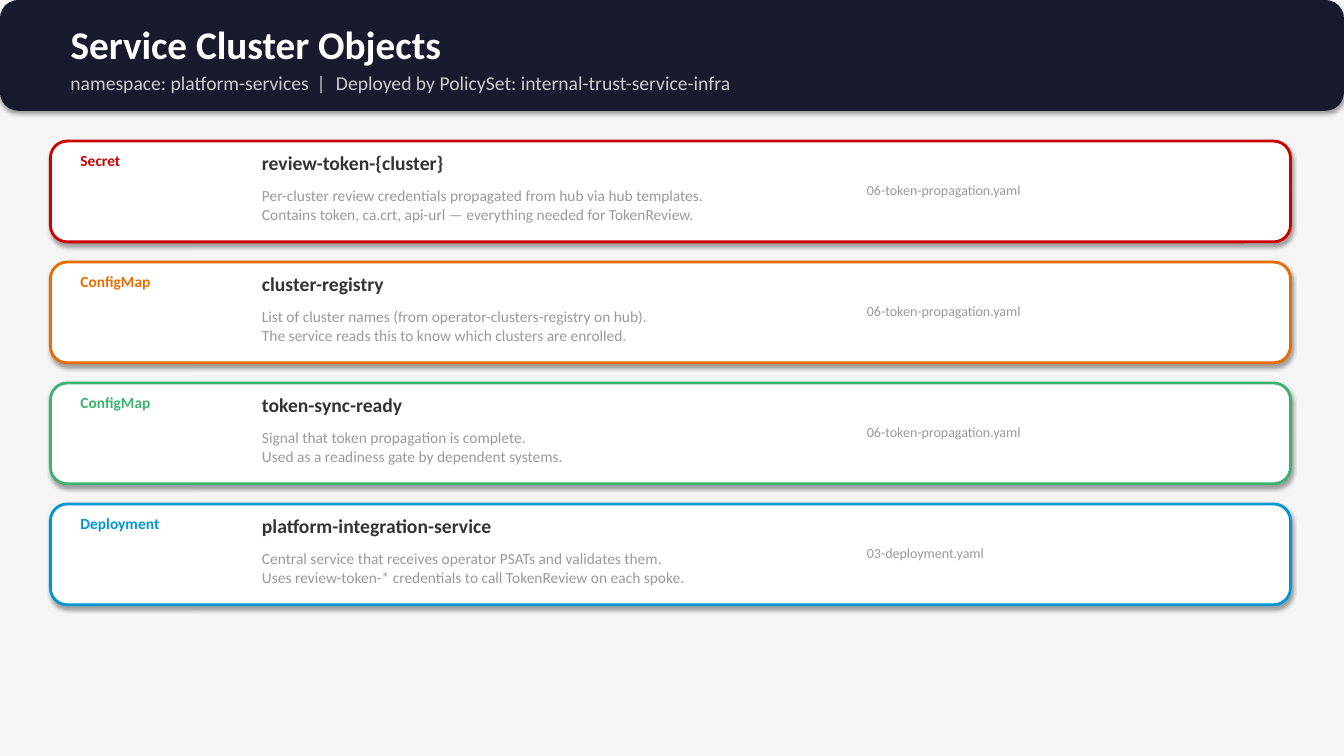
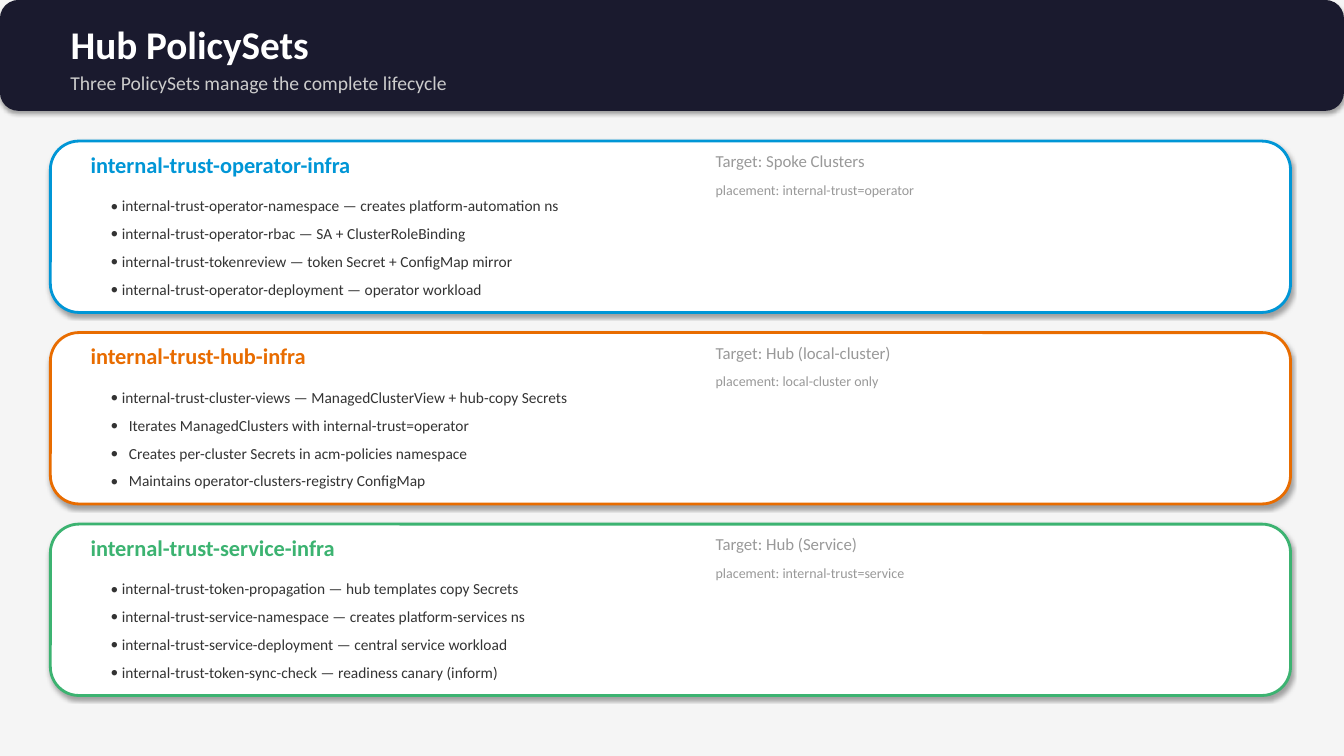
from dataclasses import dataclass

from lxml.etree import SubElement
from pptx import Presentation
from pptx.dml.color import RGBColor
from pptx.enum.shapes import MSO_SHAPE as Shape
from pptx.enum.text import MSO_ANCHOR as Anchor, MSO_AUTO_SIZE as AutoSize, PP_ALIGN as Align
from pptx.oxml.ns import qn
from pptx.util import Pt

PX = 9144


@dataclass(frozen=True)
class Theme:
    font: str = "Calibri"
    page: str = "F5F5F5"
    band: str = "1A1A2E"
    white: str = "FFFFFF"
    subtitle: str = "CCCCCC"
    ink: str = "333333"
    muted: str = "999999"
    red: str = "CC0000"
    orange: str = "E86C00"
    green: str = "3CB371"
    blue: str = "0096D6"
    title_size: int = 28
    heading_size: int = 16
    lead_size: int = 14
    target_size: int = 12
    body_size: int = 11
    small_size: int = 10


T = Theme()

OBJECTS = [
    ("Secret", T.red, "review-token-{cluster}", "06-token-propagation.yaml",
     ["Per-cluster review credentials propagated from hub via hub templates.",
      "Contains token, ca.crt, api-url — everything needed for TokenReview."]),
    ("ConfigMap", T.orange, "cluster-registry", "06-token-propagation.yaml",
     ["List of cluster names (from operator-clusters-registry on hub).",
      "The service reads this to know which clusters are enrolled."]),
    ("ConfigMap", T.green, "token-sync-ready", "06-token-propagation.yaml",
     ["Signal that token propagation is complete.",
      "Used as a readiness gate by dependent systems."]),
    ("Deployment", T.blue, "platform-integration-service", "03-deployment.yaml",
     ["Central service that receives operator PSATs and validates them.",
      "Uses review-token-* credentials to call TokenReview on each spoke."]),
]

ITEM, SUBITEM = 11, 18

POLICY_SETS = [
    ("internal-trust-operator-infra", T.blue, "Target: Spoke Clusters",
     "placement: internal-trust=operator",
     [(ITEM, "internal-trust-operator-namespace — creates platform-automation ns"),
      (ITEM, "internal-trust-operator-rbac — SA + ClusterRoleBinding"),
      (ITEM, "internal-trust-tokenreview — token Secret + ConfigMap mirror"),
      (ITEM, "internal-trust-operator-deployment — operator workload")]),
    ("internal-trust-hub-infra", T.orange, "Target: Hub (local-cluster)",
     "placement: local-cluster only",
     [(ITEM, "internal-trust-cluster-views — ManagedClusterView + hub-copy Secrets"),
      (SUBITEM, "Iterates ManagedClusters with internal-trust=operator"),
      (SUBITEM, "Creates per-cluster Secrets in acm-policies namespace"),
      (SUBITEM, "Maintains operator-clusters-registry ConfigMap")]),
    ("internal-trust-service-infra", T.green, "Target: Hub (Service)",
     "placement: internal-trust=service",
     [(ITEM, "internal-trust-token-propagation — hub templates copy Secrets"),
      (ITEM, "internal-trust-service-namespace — creates platform-services ns"),
      (ITEM, "internal-trust-service-deployment — central service workload"),
      (ITEM, "internal-trust-token-sync-check — readiness canary (inform)")]),
]


def emu(*lengths):
    return [length * PX for length in lengths]


def rgb(color):
    return RGBColor.from_string(color)


def add_run(p, text, size, color, bold=False):
    r = p.add_run()
    r.text = text
    r.font.name = T.font
    r.font.size = Pt(size)
    r.font.bold = bold
    r.font.color.rgb = rgb(color)
    return r


def add_text_box(s, x, y, w, h):
    tf = s.shapes.add_textbox(*emu(x, y, w, h)).text_frame
    tf.word_wrap = True
    return tf


def add_paragraph(tf, index):
    return tf.add_paragraph() if index else tf.paragraphs[0]


def add_text(s, x, y, w, h, lines, size, color, bold=False):
    tf = add_text_box(s, x, y, w, h)
    for i, line in enumerate(lines):
        add_run(add_paragraph(tf, i), line, size, color, bold)


def add_bullets(s, x, y, w, h, items):
    tf = add_text_box(s, x, y, w, h)
    for i, (hang, text) in enumerate(items):
        p = add_paragraph(tf, i)
        pPr = p._p.get_or_add_pPr()
        pPr.set("marL", str(hang * PX))
        pPr.set("indent", str(-hang * PX))
        SubElement(pPr, qn("a:buFont"), typeface=T.font)
        SubElement(pPr, qn("a:buChar"), char="•")
        if i:
            p.space_before = Pt(6.7)
        add_run(p, text, T.body_size, T.ink)


def add_panel(s, x, y, w, h, fill, line=None):
    sp = s.shapes.add_shape(Shape.ROUNDED_RECTANGLE, *emu(x, y, w, h))
    sp.fill.solid()
    sp.fill.fore_color.rgb = rgb(fill)
    if line:
        sp.line.color.rgb = rgb(line)
        sp.line.width = Pt(2)
    else:
        sp.line.fill.background()
    sp.shadow.inherit = False
    effects = sp._element.spPr.find(qn("a:effectLst"))
    shadow = SubElement(effects, qn("a:outerShdw"), blurRad="40000", dist="23000",
                        dir="5400000", rotWithShape="0")
    black = SubElement(shadow, qn("a:srgbClr"), val="000000")
    SubElement(black, qn("a:alpha"), val="35000")
    return sp


def add_header_slide(prs, title, subtitle_parts):
    s = prs.slides.add_slide(prs.slide_layouts[5])
    band = add_panel(s, 0, 0, 1333, 110, T.band)
    s.shapes._spTree.insert(2, band._element)

    sp = s.shapes.title
    sp.left, sp.top, sp.width, sp.height = emu(60, 15, 1000, 57)
    tf = sp.text_frame
    tf.auto_size = AutoSize.NONE
    tf.vertical_anchor = Anchor.TOP
    tf.paragraphs[0].alignment = Align.LEFT
    add_run(tf.paragraphs[0], title, T.title_size, T.white, True)

    p = add_text_box(s, 60, 65, 1000, 33).paragraphs[0]
    for i, part in enumerate(subtitle_parts):
        if i:
            divider = add_run(p, " | ", T.lead_size, T.subtitle)
            divider.font._element.set("spc", "210")
        add_run(p, part, T.lead_size, T.subtitle)
    return s


def add_object_card(s, y, kind, color, name, file_name, description):
    add_panel(s, 50, y, 1230, 100, T.white, color)
    add_text(s, 70, y + 5, 180, 28, [kind], T.body_size, color, True)
    add_text(s, 250, y + 5, 450, 33, [name], T.lead_size, T.ink, True)
    add_text(s, 250, y + 40, 550, 47, description, T.body_size, T.muted)
    add_text(s, 850, y + 35, 400, 27, [file_name], T.small_size, T.muted)


def add_policy_card(s, y, name, color, target, placement, policies):
    add_panel(s, 50, y, 1230, 170, T.white, color)
    add_text(s, 80, y + 5, 500, 37, [name], T.heading_size, color, True)
    add_text(s, 700, y + 5, 300, 30, [target], T.target_size, T.muted)
    add_text(s, 700, y + 35, 500, 27, [placement], T.small_size, T.muted)
    add_bullets(s, 100, y + 50, 1000, 112, policies)


def add_cards(s, add_card, pitch, rows):
    for i, row in enumerate(rows):
        add_card(s, 140 + i * pitch, *row)


def main():
    prs = Presentation()
    prs.slide_width, prs.slide_height = emu(1333, 750)
    background = prs.slide_master.background.fill
    background.solid()
    background.fore_color.rgb = rgb(T.page)

    s = add_header_slide(prs, "Service Cluster Objects", [
        "namespace: platform-services",
        "Deployed by PolicySet: internal-trust-service-infra"])
    add_cards(s, add_object_card, 120, OBJECTS)

    s = add_header_slide(prs, "Hub PolicySets", [
        "Three PolicySets manage the complete lifecycle"])
    add_cards(s, add_policy_card, 190, POLICY_SETS)

    prs.save("out.pptx")


if __name__ == "__main__":
    main()
